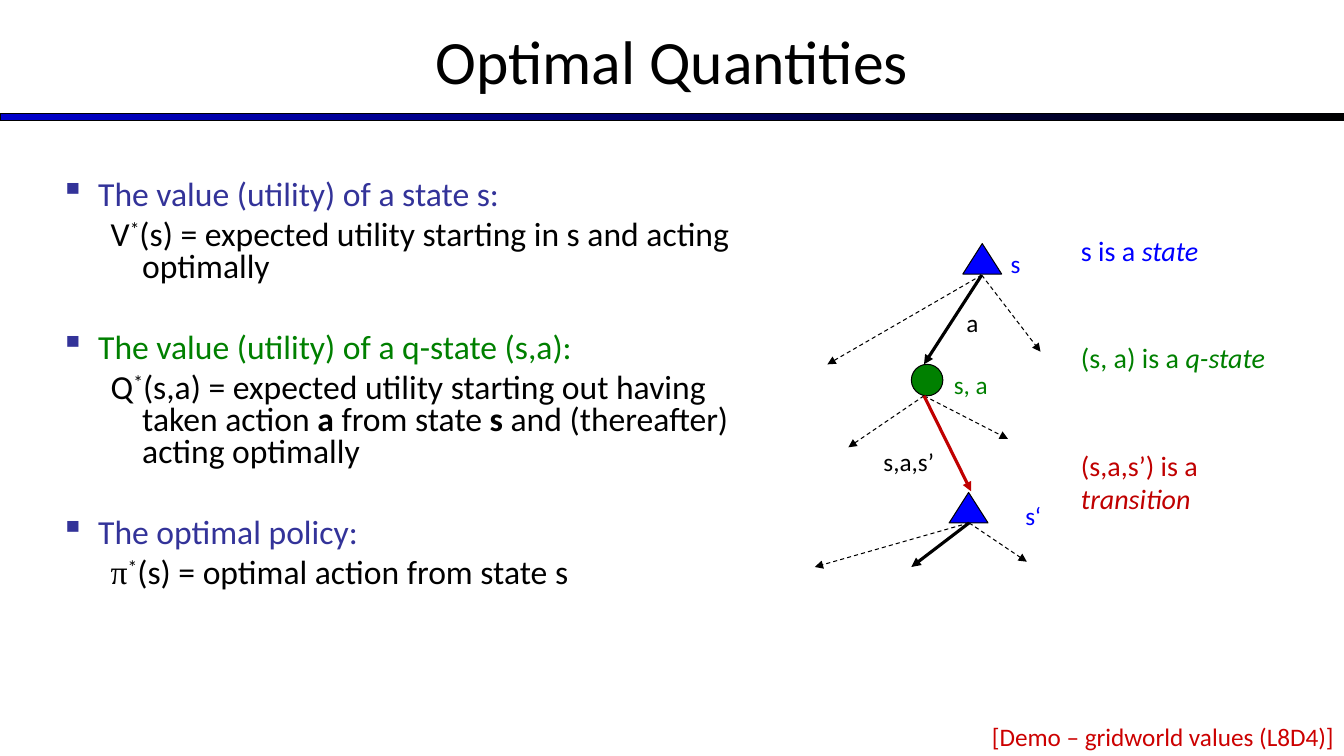
from lxml.etree import SubElement
from pptx import Presentation
from pptx.dml.color import RGBColor
from pptx.enum.dml import MSO_LINE
from pptx.enum.shapes import MSO_CONNECTOR, MSO_SHAPE
from pptx.enum.text import MSO_ANCHOR, PP_ALIGN
from pptx.oxml.ns import qn
from pptx.util import Emu, Pt

BLACK = RGBColor(0x00, 0x00, 0x00)
BAR_BLUE = RGBColor(0x00, 0x00, 0xCC)
INDIGO = RGBColor(0x33, 0x33, 0x99)
BLUE = RGBColor(0x00, 0x00, 0xFF)
GREEN = RGBColor(0x00, 0x80, 0x00)
CRIMSON = RGBColor(0xC0, 0x00, 0x00)
RED = RGBColor(0xCC, 0x00, 0x00)

SUPER = {"baseline": 30000}
BOLD = {"bold": True}
ITALIC = {"italic": True}

# Heading, heading colour, runs of the definition
DEFINITIONS = [
    ("The value (utility) of a state s:", INDIGO,
     [("V", {}), ("*", SUPER),
      ("(s) = expected utility starting in s and acting optimally", {})]),
    ("The value (utility) of a q-state (s,a):", GREEN,
     [("Q", {}), ("*", SUPER),
      ("(s,a) = expected utility starting out having taken action ", {}),
      ("a", BOLD), (" from state ", {}), ("s", BOLD),
      (" and (thereafter) acting optimally", {})]),
    ("The optimal policy:", INDIGO,
     [("π", {"name": "Times New Roman"}), ("*", SUPER),
      ("(s) = optimal action from state s", {})]),
]

LEGEND = [
    ([("s is a ", {}), ("state", ITALIC)], BLUE),
    ([("(s, a) is a ", {}), ("q-state", ITALIC)], GREEN),
    ([("(s,a,s’) is a ", {}), ("\n", {}), ("transition", ITALIC)], CRIMSON),
]

# Nodes: shape, left, top, width, height, colour
NODES = [
    (MSO_SHAPE.ISOSCELES_TRIANGLE, 141, 0, 37, 29, BLUE),
    (MSO_SHAPE.OVAL, 92, 115, 30, 30, GREEN),
    (MSO_SHAPE.ISOSCELES_TRIANGLE, 128, 237, 37, 29, BLUE),
]

# Branches: start, ends of the dashed arrows, end and colour of the chosen one
BRANCHES = [
    ((159, 30), [(12, 115), (215, 103)], (104, 115), BLACK),
    ((104, 145), [(32, 194), (184, 186)], (149, 236), CRIMSON),
    ((147, 266), [(0, 308), (202, 303)], (92, 308), BLACK),
]

# Tree labels: text, left, top, width, colour, alignment
TREE_LABELS = [
    ("a", 135, 56, 31, BLACK, PP_ALIGN.LEFT),
    ("s", 177, 0, 31, BLUE, PP_ALIGN.LEFT),
    ("s‘", 148, 240, 77, BLUE, PP_ALIGN.RIGHT),
    ("s, a", 123, 115, 90, GREEN, PP_ALIGN.LEFT),
    ("s,a,s’", 56, 188, 86, BLACK, PP_ALIGN.LEFT),
]


def px(n):
    return Emu(n * 9525)


def add_runs(p, runs, size, color):
    for text, changes in runs:
        if text == "\n":
            p.add_line_break()
            continue
        r = p.add_run()
        r.text = text
        r.font.color.rgb = color
        for key, value in {"name": "Calibri", "size": Pt(size), **changes}.items():
            if key == "baseline":
                r._r.get_or_add_rPr().set(key, str(value))
            else:
                setattr(r.font, key, value)


def text_frame(s, x, y, w, h):
    tf = s.shapes.add_textbox(px(x), px(y), px(w), px(h)).text_frame
    tf.word_wrap = True
    return tf


def add_label(s, box, runs, size, color, align=PP_ALIGN.LEFT):
    tf = text_frame(s, *box)
    p = tf.paragraphs[0]
    p.alignment = align
    add_runs(p, runs, size, color)
    return tf


def add_solid(s, kind, x, y, w, h):
    sp = s.shapes.add_shape(kind, px(x), px(y), px(w), px(h))
    sp.shadow.inherit = False
    sp.line.color.rgb = BLACK
    sp.line.width = Pt(0.75)
    return sp


def add_arrow(s, start, end, color, width, dash=None):
    line = s.shapes.add_connector(MSO_CONNECTOR.STRAIGHT, *map(px, start + end))
    for key, value in {"width": Pt(width), "dash_style": dash}.items():
        setattr(line.line, key, value)
    line.line.color.rgb = color
    SubElement(line.line._get_or_add_ln(), qn("a:tailEnd"), type="triangle")
    SubElement(line._element.spPr, qn("a:effectLst"))


def add_bullet(p, char, color):
    pPr = p._p.get_or_add_pPr()
    SubElement(SubElement(pPr, qn("a:buClr")), qn("a:srgbClr"), val=str(color))
    SubElement(pPr, qn("a:buChar"), char=char)


def draw_header(s, x, y, w, h):
    # Gradient bar
    bar = add_solid(s, MSO_SHAPE.RECTANGLE, x, y + h - 9, w, 7)
    bar.fill.gradient()
    bar.fill.gradient_angle = 0
    for stop, color in zip(bar.fill.gradient_stops, (BAR_BLUE, BLACK)):
        stop.color.rgb = color
    # Title
    tf = add_label(s, (x, y, w, h), [("Optimal Quantities", {})], 44, BLACK,
                   PP_ALIGN.CENTER)
    tf.vertical_anchor = MSO_ANCHOR.MIDDLE


def draw_definitions(s, x, y, w, h):
    tf = text_frame(s, x, y, w, h)
    for i, (heading, color, definition) in enumerate(DEFINITIONS):
        head = tf.add_paragraph() if i else tf.paragraphs[0]
        body = tf.add_paragraph()
        for p, left, indent, before in ((head, 36, -36, 34.6 if i else 0),
                                        (body, 78, -30, 5.6)):
            p.line_spacing = 0.8
            p.space_before = Pt(before)
            pPr = p._p.get_or_add_pPr()
            pPr.set("marL", str(px(left)))
            pPr.set("indent", str(px(indent)))
        add_bullet(head, "▪", INDIGO)
        add_runs(head, [(heading, {})], 24, color)
        add_runs(body, definition, 24, BLACK)


def draw_tree(s, x, y):
    def shift(point):
        return x + point[0], y + point[1]

    for kind, left, top, w, h, color in NODES:
        node = add_solid(s, kind, x + left, y + top, w, h)
        node.fill.solid()
        node.fill.fore_color.rgb = color
    for start, others, chosen, color in BRANCHES:
        for end in others:
            add_arrow(s, shift(start), shift(end), BLACK, 0.75, MSO_LINE.DASH)
        add_arrow(s, shift(start), shift(chosen), color, 2.25)
    for text, left, top, w, color, align in TREE_LABELS:
        add_label(s, (x + left, y + top, w, 38), [(text, {})], 18, color, align)


def draw_legend(s, x, y, w, pitch):
    for i, (runs, color) in enumerate(LEGEND):
        add_label(s, (x, y + i * pitch, w, 41), runs, 20, color)


def main():
    prs = Presentation()
    prs.slide_width, prs.slide_height = px(1280), px(720)
    s = prs.slides.add_slide(prs.slide_layouts[6])
    draw_header(s, 0, -3, 1280, 120)
    draw_definitions(s, 48, 167, 704, 489)
    draw_tree(s, 776, 232)
    draw_legend(s, 1020, 218, 247, 102)
    # Demo note
    add_label(s, (616, 682, 664, 38), [("[Demo – gridworld values (L8D4)]", {})],
              18, RED, PP_ALIGN.RIGHT)
    prs.save("out.pptx")


if __name__ == "__main__":
    main()
